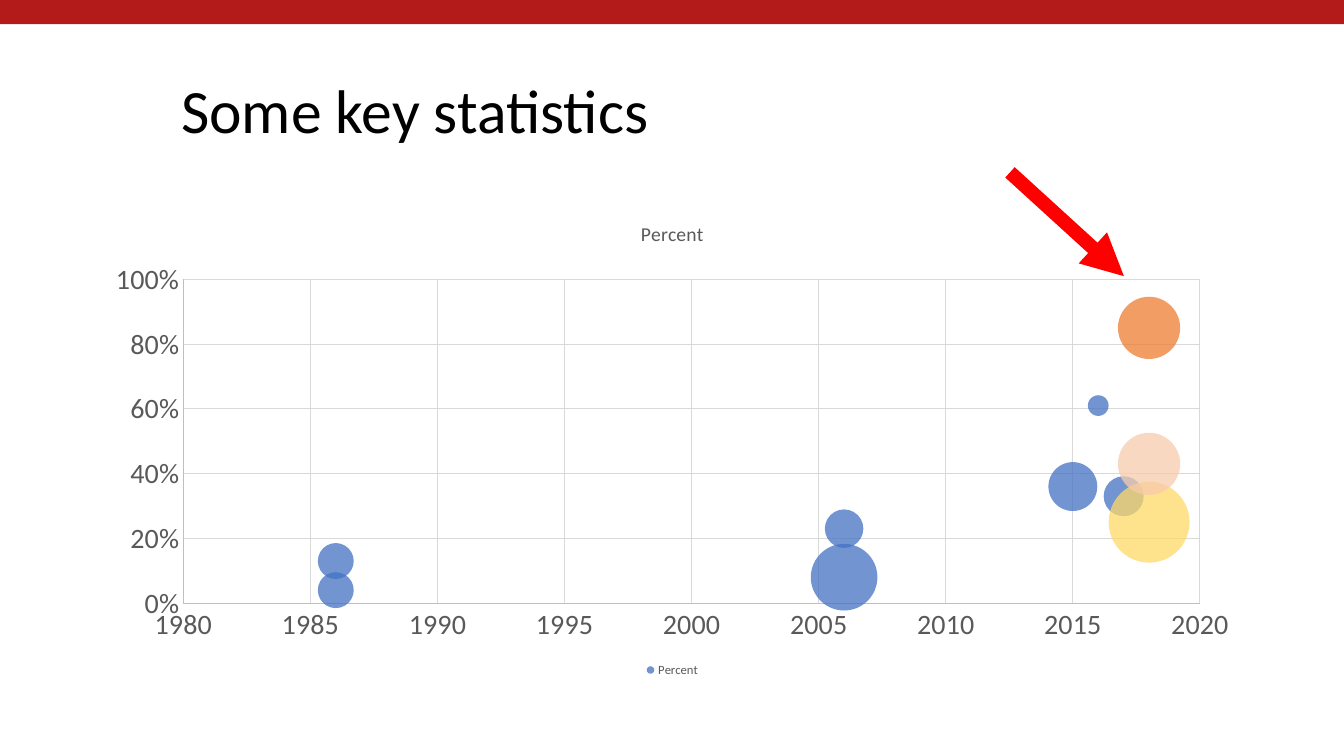
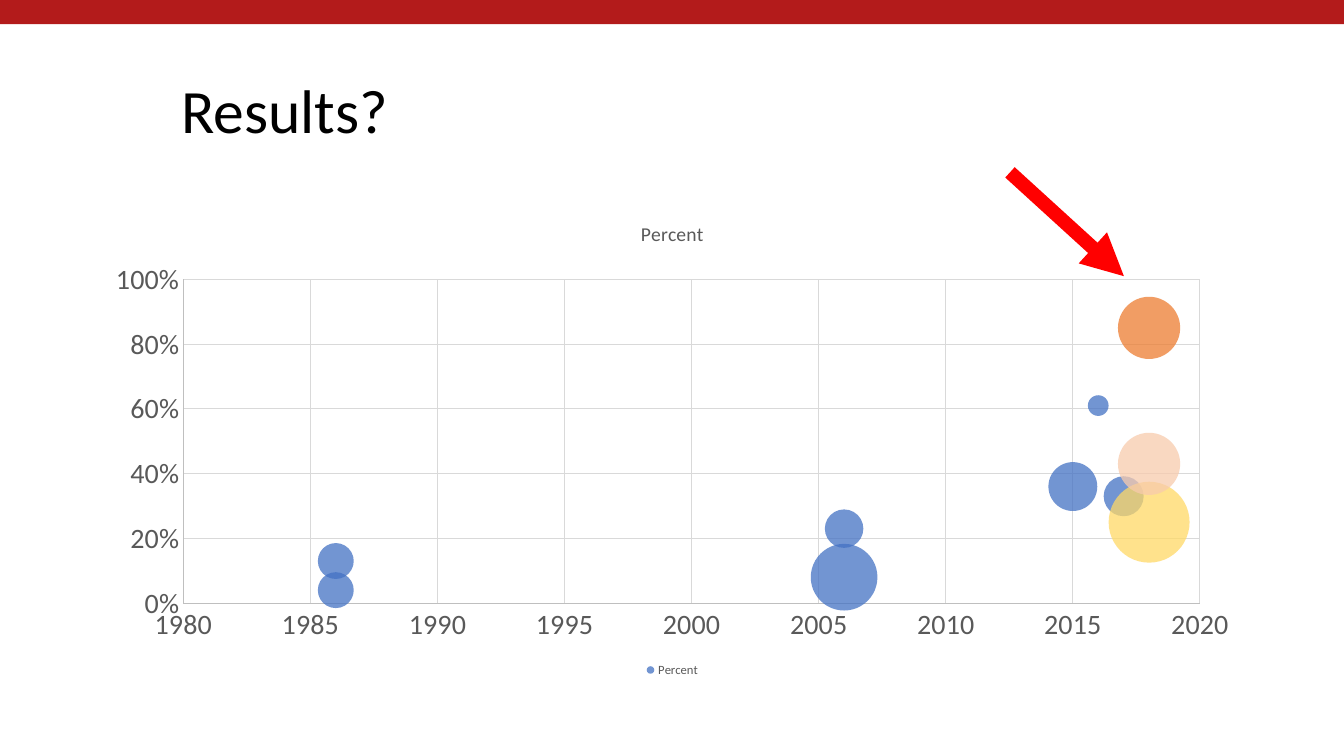
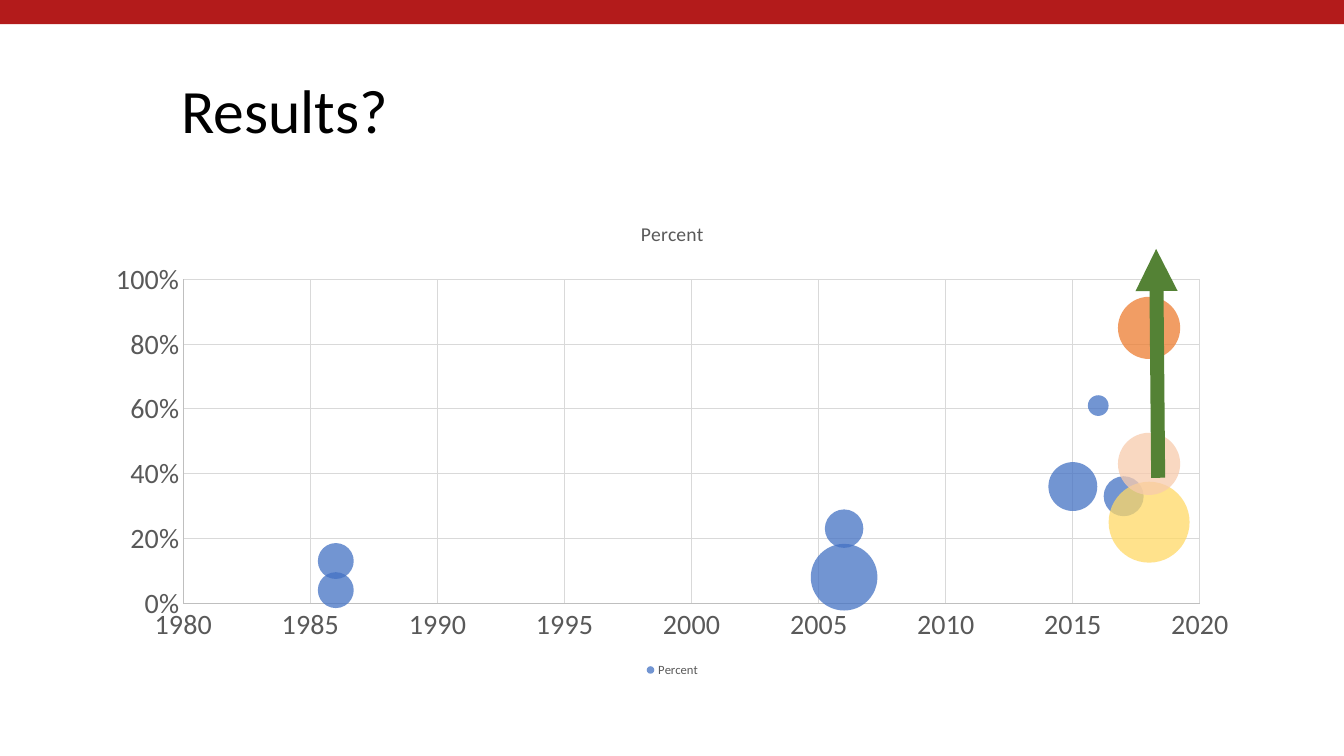
from dataclasses import dataclass

from lxml import etree
from pptx import Presentation
from pptx.chart.data import BubbleChartData
from pptx.dml.color import RGBColor
from pptx.enum.chart import XL_CHART_TYPE, XL_LEGEND_POSITION, XL_TICK_MARK
from pptx.enum.shapes import MSO_CONNECTOR, MSO_SHAPE
from pptx.enum.text import MSO_ANCHOR
from pptx.oxml.ns import qn
from pptx.util import Pt

BUBBLE = XL_CHART_TYPE.BUBBLE
BOTTOM = XL_LEGEND_POSITION.BOTTOM
NO_TICK = XL_TICK_MARK.NONE
STRAIGHT = MSO_CONNECTOR.STRAIGHT
RECT = MSO_SHAPE.RECTANGLE
MIDDLE = MSO_ANCHOR.MIDDLE


@dataclass(frozen=True)
class Theme:
    """Colours, font and sizes shared by all slides."""
    font: str = "Calibri"
    band: str = "B31B1B"
    ink: str = "000000"
    gray: str = "595959"
    axis: str = "BFBFBF"
    grid: str = "D9D9D9"
    blue: str = "4472C4"
    gold: str = "FFD966"
    peach: str = "F8CBAD"
    orange: str = "ED7D31"
    red: str = "FF0000"
    green: str = "548235"
    head: float = 44
    label: float = 20
    name: float = 14
    base: float = 10
    key: float = 9
    hair: float = 0.75
    arrow: float = 10
    alpha: int = 75


THEME = Theme()
WIDTH, HEIGHT = 960, 540

# Year, share, bubble size
STATS = [
    (1986, 0.04, 54), (1986, 0.13, 54),
    (2006, 0.08, 186), (2006, 0.23, 62),
    (2015, 0.36, 100), (2016, 0.61, 18), (2017, 0.33, 67),
    (2018, 0.25, 274), (2018, 0.43, 162), (2018, 0.85, 162),
]
ACCENTS = {7: THEME.gold, 8: THEME.peach, 9: THEME.orange}

TO_TOP = ((721.44, 123.12), (802.8, 197.28), THEME.red)
GROWTH = ((827.28, 341.28), (825.84, 177.84), THEME.green)
SLIDES = [
    ("Some key statistics", TO_TOP),
    ("Results?", TO_TOP),
    ("Results?", GROWTH),
]


def rgb(code):
    """Turn a hex code into a colour."""
    return RGBColor.from_string(code)


def set_font(font, size, color):
    """Give a font the theme face, a size and a colour."""
    font.name = THEME.font
    font.size = Pt(size)
    font.bold = False
    font.color.rgb = rgb(color)


def set_fill(fill, color):
    """Fill with one solid colour."""
    fill.solid()
    fill.fore_color.rgb = rgb(color)


def set_line(line, color, width):
    """Give a line its colour and width."""
    line.color.rgb = rgb(color)
    line.width = Pt(width)


def add_band(slide):
    """Draw the band along the top edge."""
    band = slide.shapes.add_shape(RECT, 0, 0, Pt(WIDTH), Pt(17.28))
    band.shadow.inherit = False
    set_fill(band.fill, THEME.band)
    band.line.fill.background()


def add_title(slide, text):
    """Write the slide title."""
    box = slide.shapes.add_textbox(Pt(122.4), Pt(28.8), Pt(770.4), Pt(104.4))
    frame = box.text_frame
    frame.word_wrap = True
    frame.vertical_anchor = MIDDLE
    frame.text = text
    para = frame.paragraphs[0]
    para.line_spacing = 0.9
    set_font(para.runs[0].font, THEME.head, THEME.ink)


def style_axis(axis, low, high, step, form):
    """Set the scale, labels and grid of one axis."""
    axis.minimum_scale = low
    axis.maximum_scale = high
    axis.major_unit = step
    axis.major_tick_mark = NO_TICK
    axis.minor_tick_mark = NO_TICK
    axis.has_major_gridlines = True
    set_line(axis.major_gridlines.format.line, THEME.grid, THEME.hair)
    set_line(axis.format.line, THEME.axis, THEME.hair)
    labels = axis.tick_labels
    labels.number_format = form
    labels.number_format_is_linked = False
    set_font(labels.font, THEME.label, THEME.gray)


def style_dots(series):
    """Colour the bubbles and make them see-through."""
    parts = [(series, THEME.blue)]
    parts += [(series.points[i], color) for i, color in ACCENTS.items()]
    for part, color in parts:
        set_fill(part.format.fill, color)
        part.format.line.fill.background()
    for tint in series._element.iter(qn("a:srgbClr")):
        alpha = etree.SubElement(tint, qn("a:alpha"))
        alpha.set("val", str(THEME.alpha * 1000))


def add_bubbles(slide):
    """Add the bubble chart of shares by year."""
    data = BubbleChartData(number_format="0%")
    series = data.add_series("Percent")
    for year, share, size in STATS:
        series.add_data_point(year, share, size)
    chart = slide.shapes.add_chart(
        BUBBLE, Pt(66.24), Pt(144), Pt(828), Pt(342.72), data).chart
    set_font(chart.font, THEME.base, THEME.ink)
    chart.has_title = True
    title = chart.chart_title
    title.include_in_layout = False
    title.text_frame.text = "Percent"
    run = title.text_frame.paragraphs[0].runs[0]
    set_font(run.font, THEME.name, THEME.gray)
    chart.has_legend = True
    chart.legend.position = BOTTOM
    chart.legend.include_in_layout = False
    set_font(chart.legend.font, THEME.key, THEME.gray)
    style_axis(chart.category_axis, 1980, 2020, 5, "General")
    style_axis(chart.value_axis, 0, 1, 0.2, "0%")
    plot = chart.plots[0]
    plot.bubble_scale = 100
    style_dots(plot.series[0])


def add_arrow(slide, start, end, color):
    """Draw a thick arrow from start to end."""
    ends = [Pt(value) for value in start + end]
    arrow = slide.shapes.add_connector(STRAIGHT, *ends)
    set_line(arrow.line, color, THEME.arrow)
    tip = etree.SubElement(arrow.line._get_or_add_ln(), qn("a:tailEnd"))
    tip.set("type", "triangle")
    etree.SubElement(arrow._element.spPr, qn("a:effectLst"))


def main():
    """Build and save the deck."""
    deck = Presentation()
    deck.slide_width, deck.slide_height = Pt(WIDTH), Pt(HEIGHT)
    blank = deck.slide_layouts[6]
    for text, arrow in SLIDES:
        slide = deck.slides.add_slide(blank)
        add_band(slide)
        add_title(slide, text)
        add_bubbles(slide)
        add_arrow(slide, *arrow)
    deck.save("out.pptx")


main()
